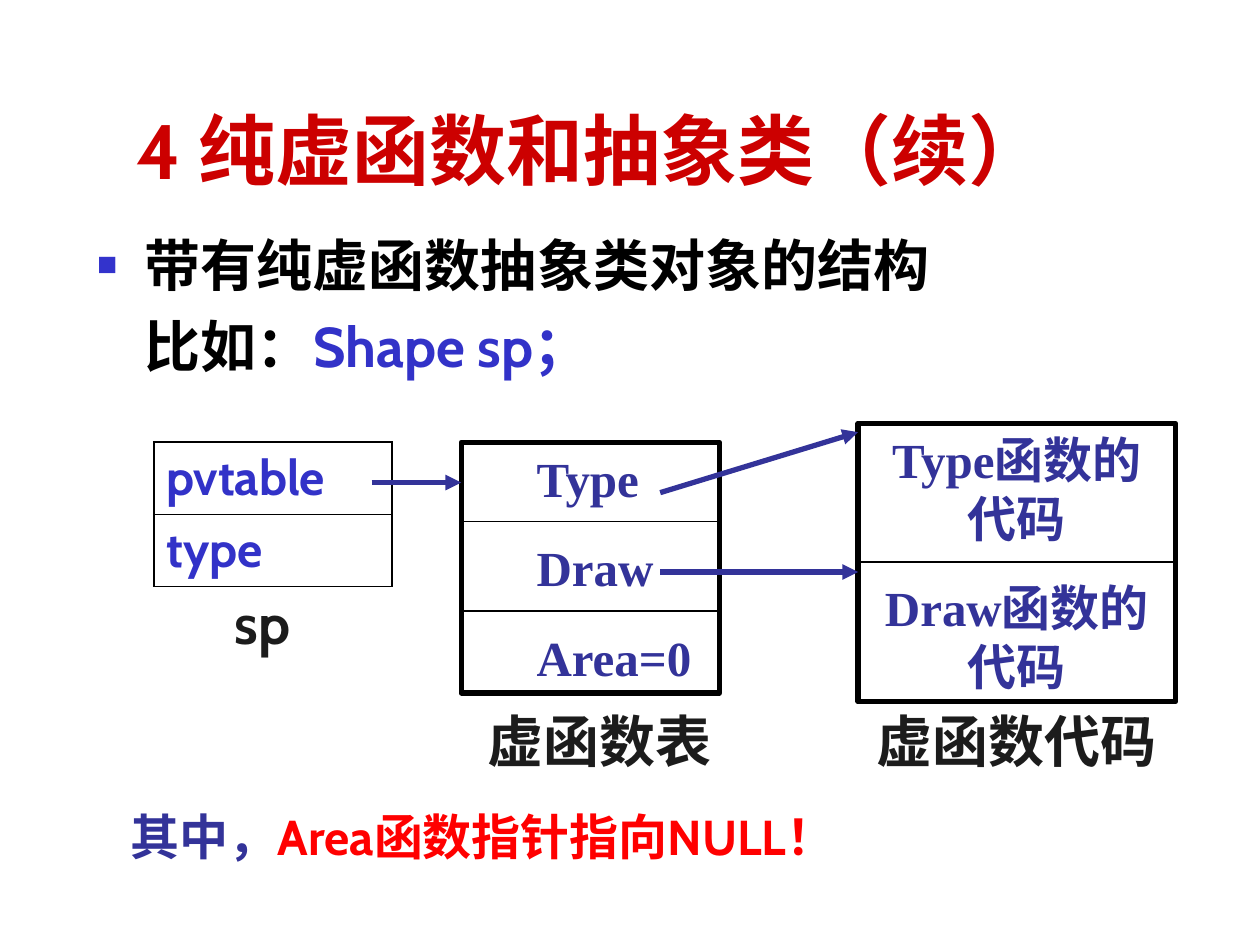
"""Build the slide on the layout of an object with pure virtual functions."""
import pptx
import pptx.util
import pptx.dml.color
import pptx.enum.shapes
import pptx.enum.text
import pptx.oxml
import pptx.oxml.ns

Inches, Pt = pptx.util.Inches, pptx.util.Pt
RGB = pptx.dml.color.RGBColor
ALIGN = pptx.enum.text.PP_ALIGN
ANCHOR = pptx.enum.text.MSO_ANCHOR
RED, BRIGHT = RGB(0xCC, 0, 0), RGB(0xFF, 0, 0)
BLACK, DARK = RGB(0, 0, 0), RGB(0x1C, 0x1C, 0x1C)
BLUE, NAVY = RGB(0x32, 0x32, 0xC8), RGB(0x33, 0x33, 0x99)
BULLET = RGB(0x33, 0x33, 0xCC)

TITLE = "4 纯虚函数和抽象类（续）"
BODY = [[("带有纯虚函数抽象类对象的结构", BLACK)], [("比如：", BLACK), ("Shape sp；", BLUE)]]
FIELDS = ["pvtable", "type"]
BOXES = [
    ((3.66, 3.51, 2.05, 1.99), ["Type", "Draw", "Area=0"],
     dict(align=ALIGN.JUSTIFY, left=0.81, first=-0.31), [4.14, 4.85]),
    ((6.81, 3.36, 2.52, 2.21), ["Type函数的代码", "Draw函数的代码"],
     dict(align=ALIGN.CENTER), [4.46]),
]
ARROWS = [(2.95, 3.83, 3.66, 3.83), (5.24, 3.91, 6.81, 3.43), (5.24, 4.54, 6.81, 4.54)]
LABELS = [("sp", 1.69, 4.62, 0.79), ("虚函数表", 3.58, 5.56, 2.36),
          ("虚函数代码", 6.73, 5.56, 2.68)]
NOTE = [[("其中，", NAVY), ("Area函数指针指向NULL！", BRIGHT)]]


def write(frame, paras, size=28, font="Cabin", color=NAVY, align=ALIGN.LEFT,
          before=17.5, left=0, first=0, anchor=ANCHOR.TOP):
    frame.word_wrap = True
    frame.auto_size = pptx.enum.text.MSO_AUTO_SIZE.NONE
    frame.vertical_anchor = anchor
    for i, runs in enumerate(paras):
        para = frame.add_paragraph() if i else frame.paragraphs[0]
        para.alignment, para.space_before = align, Pt(before)
        props = para._p.get_or_add_pPr()
        props.set("marL", str(Inches(left)))
        props.set("indent", str(Inches(first)))
        for text, tint in [(runs, color)] if isinstance(runs, str) else runs:
            run = para.add_run()
            run.text = text
            run.font.size, run.font.name, run.font.bold = Pt(size), font, True
            run.font.color.rgb = tint


def add(parent, tag, **attrs):
    node = pptx.oxml.parse_xml(f"<{tag} {pptx.oxml.ns.nsdecls('a')}/>")
    for key, value in attrs.items():
        node.set(key, str(value))
    parent.append(node)
    return node


def place(shape, *area):
    shape.left, shape.top, shape.width, shape.height = map(Inches, area)


def link(ends, color, width, head=False):
    line = shapes.add_connector(pptx.enum.shapes.MSO_CONNECTOR.STRAIGHT, *map(Inches, ends))
    line.line.color.rgb, line.line.width = color, Pt(width)
    add(line._element.spPr, "a:effectLst")
    if head:
        add(line.line._get_or_add_ln(), "a:tailEnd", type="triangle")


def edge(cell, side, width):
    line = add(cell._tc.get_or_add_tcPr(), f"a:{side}", w=Pt(width))
    add(add(line, "a:solidFill"), "a:srgbClr", val=BLACK)


def label(text, x, y, wide, high, **style):
    box = shapes.add_textbox(*map(Inches, (x, y, wide, high)))
    write(box.text_frame, text, **style)


deck = pptx.Presentation()
deck.slide_width, deck.slide_height = Inches(10), Inches(7.5)
slide = deck.slides.add_slide(deck.slide_layouts[1])
shapes = slide.shapes

title, body = slide.placeholders
place(title, 0.98, 0.6, 8.52, 1)
write(title.text_frame, [TITLE], size=44, color=RED, before=0, anchor=ANCHOR.BOTTOM)
place(body, 0.67, 1.78, 9.04, 4.85)
write(body.text_frame, BODY, size=32, before=8, left=0.38)
top, rest = [p._p.get_or_add_pPr() for p in body.text_frame.paragraphs]
top.set("indent", str(Inches(-0.38)))
add(add(top, "a:buClr"), "a:srgbClr", val=BULLET)
add(top, "a:buSzPct", val=60000)
add(top, "a:buChar", char="■")
add(rest, "a:buNone")

table = shapes.add_table(len(FIELDS), 1, *map(Inches, (1.22, 3.51, 1.89, 1.14))).table
table.first_row = table.horz_banding = False
for i, field in enumerate(FIELDS):
    cell = table.cell(i, 0)
    write(cell.text_frame, [field], color=BLUE, before=7)
    for side, width in (("lnL", 1.08), ("lnR", 1.08), ("lnT", 0.45 if i else 1.08),
                        ("lnB", 1.08 if i else 0.45)):
        edge(cell, side, width)
    cell.fill.background()

for area, names, style, cuts in BOXES:
    box = shapes.add_shape(pptx.enum.shapes.MSO_SHAPE.RECTANGLE, *map(Inches, area))
    box.shadow.inherit = False
    box.fill.background()
    box.line.color.rgb, box.line.width = BLACK, Pt(3)
    write(box.text_frame, names, font="Times New Roman", **style)
    for y in cuts:
        link((area[0], y, area[0] + area[2], y), BLACK, 0.75)
for ends in ARROWS:
    link(ends, NAVY, 3, head=True)
for text, x, y, wide in LABELS:
    label([text], x, y, wide, 0.64, size=32, color=DARK, align=ALIGN.CENTER, before=20)
label(NOTE, 0.67, 6.35, 6.54, 0.57, left=0.27)

deck.save("out.pptx")
